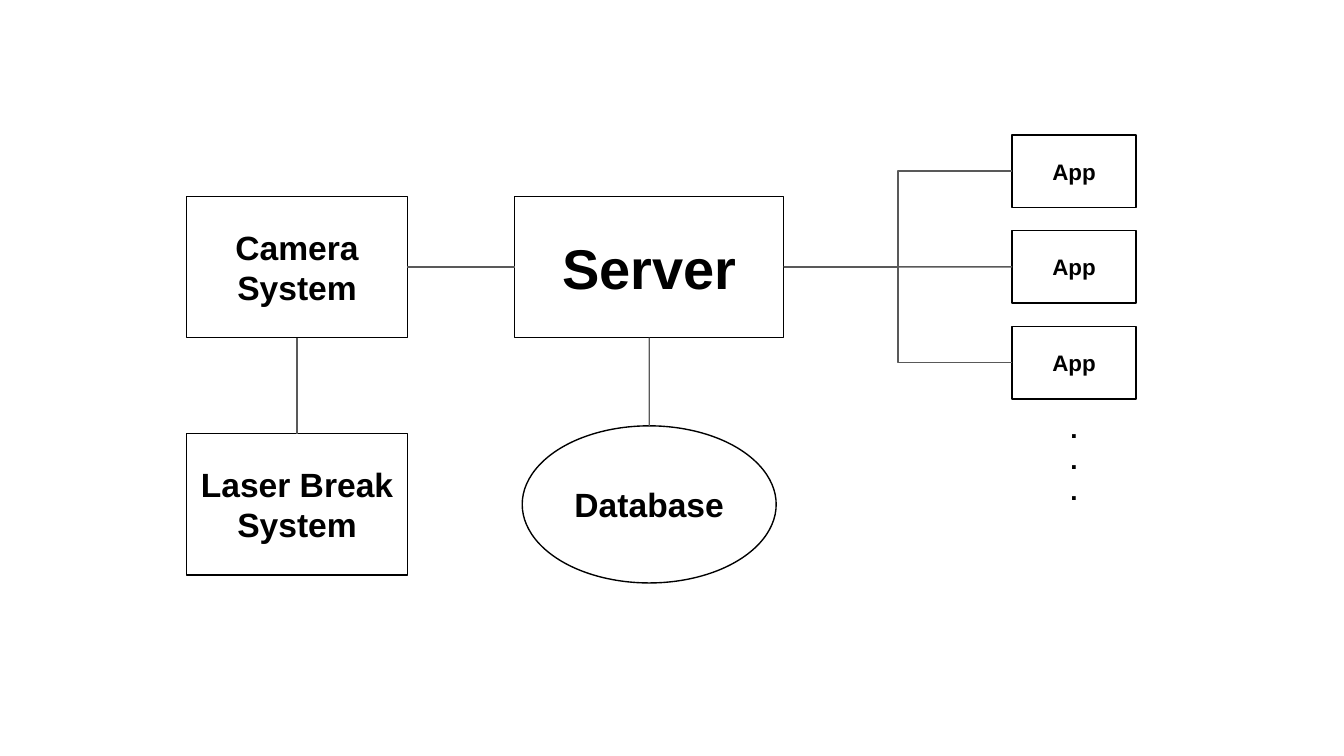
from dataclasses import dataclass

from lxml import etree
from pptx import Presentation
from pptx.dml.color import RGBColor
from pptx.enum.shapes import MSO_CONNECTOR, MSO_SHAPE
from pptx.enum.text import MSO_ANCHOR, PP_ALIGN
from pptx.oxml.ns import qn
from pptx.util import Cm, Pt

RECT = MSO_SHAPE.RECTANGLE
OVAL = MSO_SHAPE.OVAL
PROCESS = MSO_SHAPE.FLOWCHART_PROCESS
STRAIGHT = MSO_CONNECTOR.STRAIGHT
ELBOW = MSO_CONNECTOR.ELBOW
MIDDLE = MSO_ANCHOR.MIDDLE
TOP_ANCHOR = MSO_ANCHOR.TOP
CENTER = PP_ALIGN.CENTER
TOP, LEFT, BOTTOM, RIGHT = range(4)


@dataclass(frozen=True)
class Theme:
    font: str = "Arial"
    ink: RGBColor = RGBColor(0, 0, 0)
    paper: RGBColor = RGBColor(255, 255, 255)
    wire: RGBColor = RGBColor(0x59, 0x59, 0x59)
    line: Pt = Pt(0.75)
    inset: Cm = Cm(0.25)
    title: Pt = Pt(30)
    node: Pt = Pt(18)
    dots: Pt = Pt(14)
    app: Pt = Pt(12)


THEME = Theme()


def set_text(sp, text, size, anchor):
    tf = sp.text_frame
    tf.text = text
    tf.word_wrap = True
    tf.vertical_anchor = anchor
    tf.margin_left = tf.margin_right = THEME.inset
    tf.margin_top = tf.margin_bottom = THEME.inset
    for p in tf.paragraphs:
        p.alignment = CENTER
        for r in p.runs:
            r.font.name = THEME.font
            r.font.size = size
            r.font.bold = True
            r.font.color.rgb = THEME.ink


def add_node(s, kind, box, text, size):
    sp = s.shapes.add_shape(kind, *map(Cm, box))
    sp.shadow.inherit = False
    sp.fill.solid()
    sp.fill.fore_color.rgb = THEME.paper
    sp.line.color.rgb = THEME.ink
    sp.line.width = THEME.line
    set_text(sp, text, size, MIDDLE)
    return sp


def add_label(s, box, text, size):
    sp = s.shapes.add_textbox(*map(Cm, box))
    set_text(sp, text, size, TOP_ANCHOR)


def link(s, kind, start, start_site, end, end_site):
    cxn = s.shapes.add_connector(kind, 0, 0, 0, 0)
    cxn.begin_connect(start, start_site)
    cxn.end_connect(end, end_site)
    cxn.line.color.rgb = THEME.wire
    cxn.line.width = THEME.line
    etree.SubElement(cxn._element.spPr, qn("a:effectLst"))


def main():
    prs = Presentation()
    prs.slide_width, prs.slide_height = Cm(25.4), Cm(14.29)
    s = prs.slides.add_slide(prs.slide_layouts[6])

    server = add_node(s, RECT, (9.73, 3.71, 5.08, 2.67), "Server", THEME.title)
    camera, laser = [
        add_node(s, RECT, (3.53, top, 4.17, 2.67), text, THEME.node)
        for top, text in ((3.71, "Camera System"), (8.2, "Laser Break\nSystem"))
    ]
    database = add_node(s, OVAL, (9.87, 8.05, 4.8, 2.97), "Database", THEME.node)
    apps = [
        add_node(s, PROCESS, (19.13, 2.55 + 1.81 * i, 2.34, 1.37), "App", THEME.app)
        for i in range(3)
    ]
    add_label(s, (18.98, 7.54, 2.64, 2.67), ".\n.\n.", THEME.dots)

    link(s, STRAIGHT, camera, BOTTOM, laser, TOP)
    link(s, STRAIGHT, camera, RIGHT, server, LEFT)
    link(s, STRAIGHT, server, BOTTOM, database, TOP)
    for app, kind in zip(apps, (ELBOW, STRAIGHT, ELBOW)):
        link(s, kind, server, RIGHT, app, LEFT)

    prs.save("out.pptx")


main()
